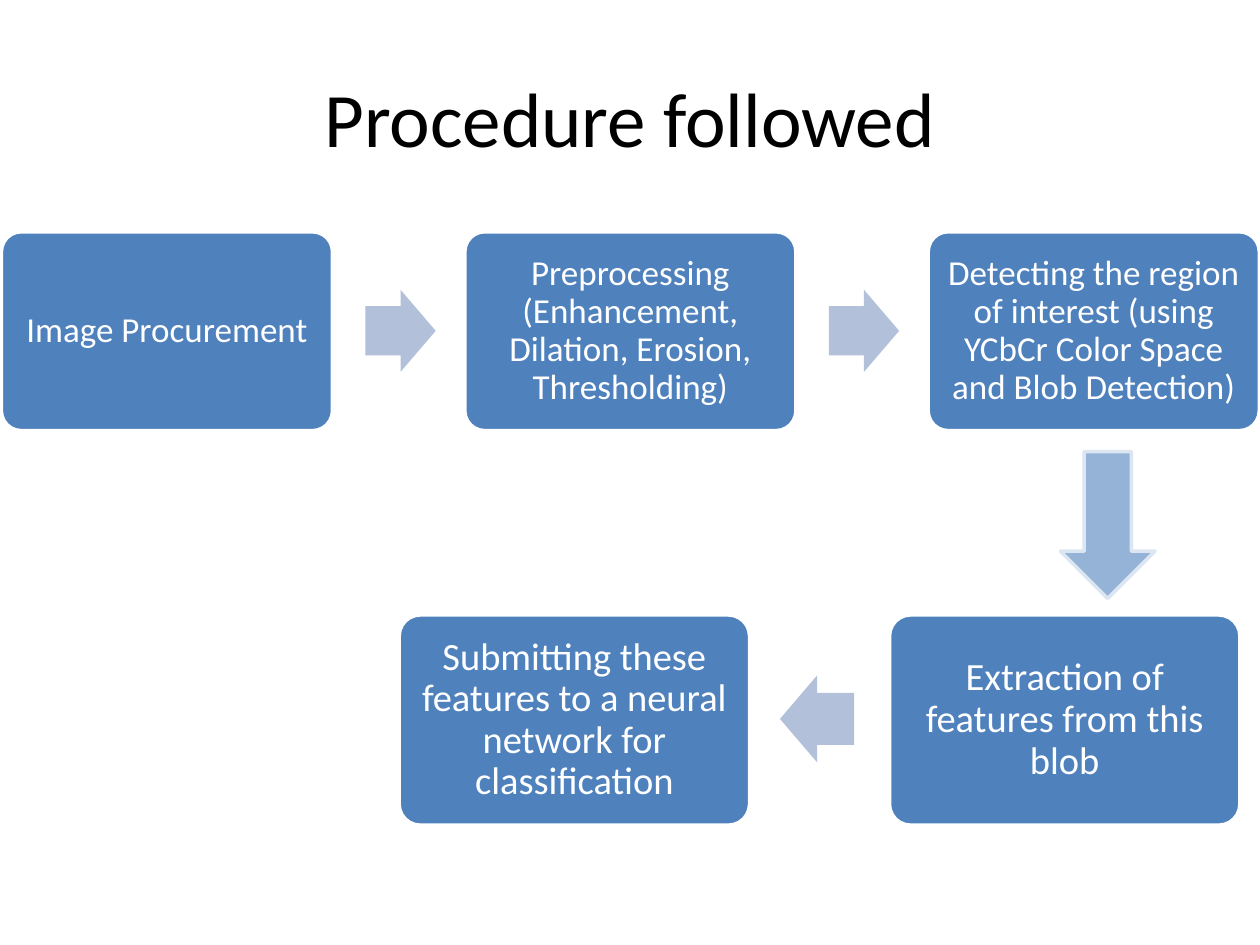
"""Build the slide showing the procedure as a flow of five steps."""
from dataclasses import dataclass

from pptx import Presentation
from pptx.dml.color import RGBColor
from pptx.enum.shapes import MSO_SHAPE as Shp
from pptx.enum.text import MSO_ANCHOR as Anchor, PP_ALIGN as Align
from pptx.util import Pt

WHITE = RGBColor(0xFF, 0xFF, 0xFF)
BLACK = RGBColor(0, 0, 0)
BLUE = RGBColor(0x4F, 0x81, 0xBD)
PALE = RGBColor(0xB2, 0xC0, 0xDA)
SKY = RGBColor(0x95, 0xB3, 0xD7)
ICE = RGBColor(0xDC, 0xE6, 0xF2)
FONT = "Calibri"


@dataclass(frozen=True)
class Box:
    x: float
    y: float
    w: float
    h: float


@dataclass(frozen=True)
class Row:
    steps: tuple[str, ...]
    first: Box
    arrow: Box
    pitch: float
    size: int
    inset: float
    rotation: int = 0


ROWS = (
    Row(
        (
            "Image Procurement",
            "Preprocessing (Enhancement, Dilation, Erosion, Thresholding)",
            "Detecting the region of interest (using YCbCr Color Space and Blob Detection)",
        ),
        Box(0.8, 132.5, 189.2, 113.6), Box(208.8, 165.6, 40.2, 46.9), 264.8, 20, 5.8,
    ),
    Row(
        (
            "Extraction of features from this blob",
            "Submitting these features to a neural network for classification",
        ),
        Box(508.3, 351.4, 200.2, 120.1), Box(445.7, 386, 42.4, 49.6), -280.2, 22, 6.2, 180,
    ),
)


def style_text(tf, size: int, color: RGBColor) -> None:
    tf.vertical_anchor = Anchor.MIDDLE
    p = tf.paragraphs[0]
    p.alignment = Align.CENTER
    font = p.runs[0].font
    font.name, font.size, font.color.rgb = FONT, Pt(size), color


def add_block(s, kind: Shp, box: Box, fill: RGBColor, line: RGBColor | None,
              adj: tuple[float, ...]):
    sp = s.shapes.add_shape(kind, Pt(box.x), Pt(box.y), Pt(box.w), Pt(box.h))
    sp.shadow.inherit = False
    sp.fill.solid()
    sp.fill.fore_color.rgb = fill
    if line is None:
        sp.line.fill.background()
    else:
        sp.line.color.rgb = line
        sp.line.width = Pt(2)
    for i, value in enumerate(adj):
        sp.adjustments[i] = value
    return sp


def add_row(s, row: Row) -> None:
    a, b = row.arrow, row.first
    for i, step in enumerate(row.steps):
        dx = i * row.pitch
        sp = add_block(s, Shp.ROUNDED_RECTANGLE, Box(b.x + dx, b.y, b.w, b.h),
                       BLUE, WHITE, (0.1,))
        tf = sp.text_frame
        tf.text = step
        tf.word_wrap = True
        tf.margin_left = tf.margin_right = tf.margin_top = tf.margin_bottom = Pt(row.inset)
        style_text(tf, row.size, WHITE)
        tf.paragraphs[0].line_spacing = 0.9
        if i < len(row.steps) - 1:
            arrow = add_block(s, Shp.RIGHT_ARROW, Box(a.x + dx, a.y, a.w, a.h),
                              PALE, None, (0.6, 0.5))
            arrow.rotation = row.rotation


def main() -> None:
    prs = Presentation()
    prs.slide_width, prs.slide_height = Pt(720), Pt(540)
    s = prs.slides.add_slide(prs.slide_layouts[5])
    title = s.shapes.title
    title.left, title.top, title.width, title.height = Pt(36), Pt(21.6), Pt(648), Pt(90)
    title.text_frame.text = "Procedure followed"
    style_text(title.text_frame, 44, BLACK)
    for row in ROWS:
        add_row(s, row)
    add_block(s, Shp.DOWN_ARROW, Box(606, 258, 54, 84), SKY, ICE, (0.5, 0.5))
    prs.save("out.pptx")


if __name__ == "__main__":
    main()
